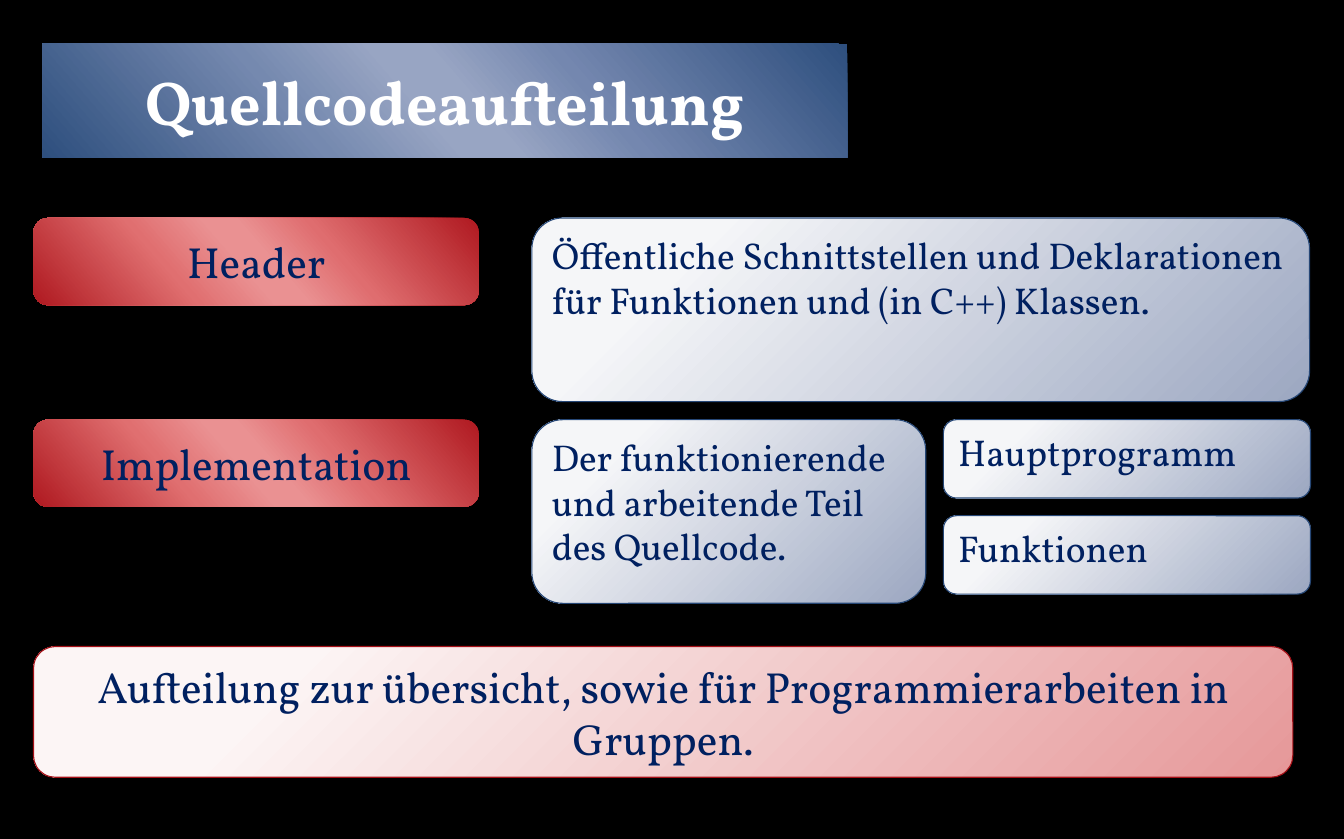
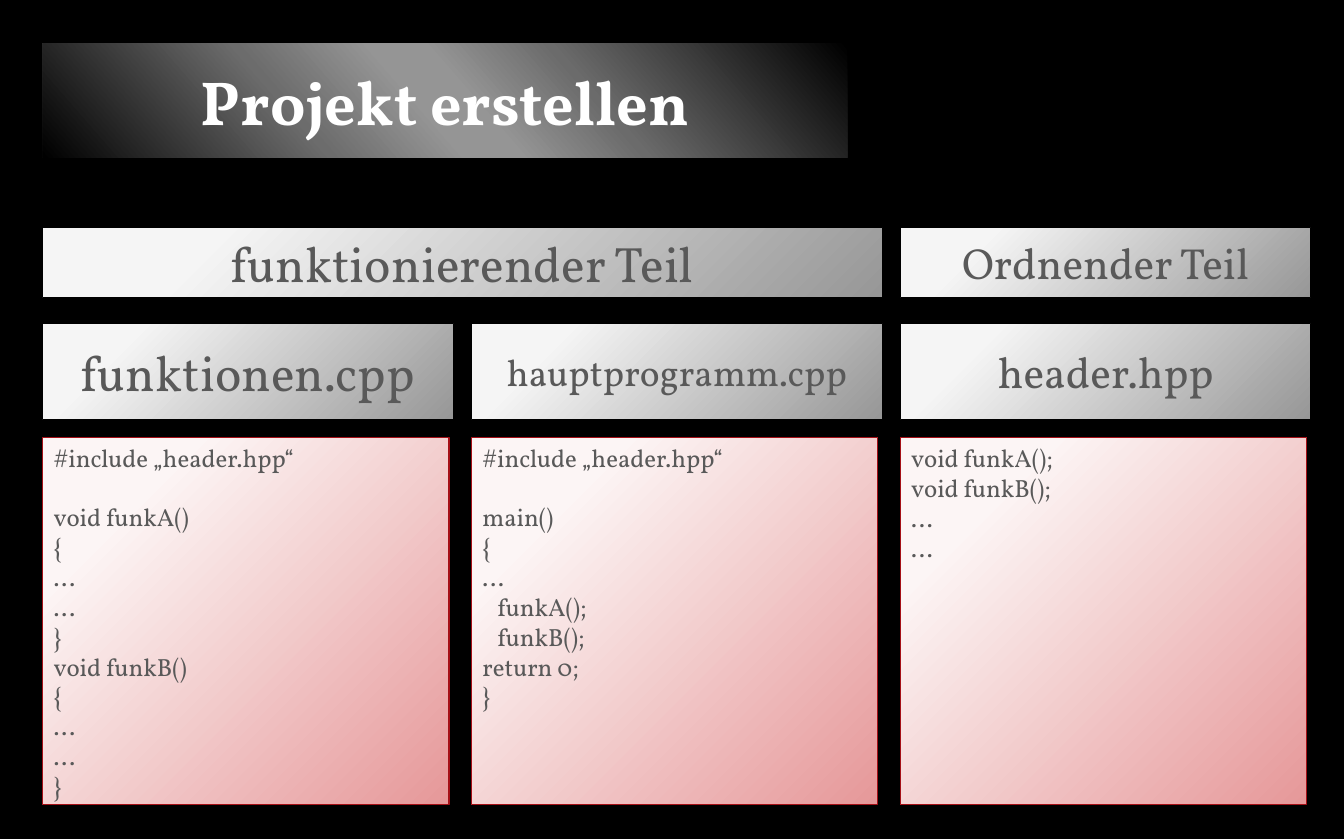
"""Builds two slides on splitting source code into headers and implementation files."""
from dataclasses import dataclass
from typing import Optional

from lxml import etree
from pptx import Presentation
from pptx.dml.color import RGBColor
from pptx.enum.shapes import MSO_SHAPE as Shape
from pptx.enum.text import MSO_ANCHOR as Anchor, MSO_AUTO_SIZE as AutoSize, PP_ALIGN as Align
from pptx.oxml import parse_xml
from pptx.oxml.ns import nsdecls, qn
from pptx.util import Cm, Pt

FONT = "Vollkorn"
BLACK, WHITE, NAVY, GREY = "000000", "FFFFFF", "002060", "595959"
LINE_GAP = Pt(19)
CODE_INDENT = Cm(0.34)


@dataclass(frozen=True)
class Finish:
    """Gradient stops, direction and outline of a box."""
    stops: tuple[tuple[int, str], ...]
    angle: Optional[int] = None
    outline: Optional[str] = None


def sheen(edge: str, left: str, middle: str, right: str) -> Finish:
    """Return a slanted gradient that is brightest in the middle."""
    return Finish(((0, edge), (33, left), (47, middle), (53, middle), (68, right), (100, edge)), 139)


def glow(light: str, dark: str, outline: str) -> Finish:
    """Return an outlined gradient that spreads from the top left corner."""
    return Finish(((20, light), (100, dark)), outline=outline)


BLUE_SHEEN = sheen("2E4F7E", "7487AF", "98A5C3", "7589AF")
RED_SHEEN = sheen("AF1920", "DF6D6F", "EA9192", "E06F70")
GREY_SHEEN = sheen(BLACK, "6B6B6B", "959595", "6C6C6C")
BLUE_GLOW = glow("F5F6F8", "9CA7C1", "264776")
RED_GLOW = glow("FCF5F5", "E69899", "A51017")
GREY_GLOW = glow("F5F5F5", "979797", BLACK)


@dataclass(frozen=True)
class Box:
    """A filled text box with lengths in centimetres."""
    text: str
    left: float
    top: float
    width: float
    height: float
    finish: Finish
    size: int
    color: str = NAVY
    centred: bool = True
    rounded: bool = True
    bold: bool = False


def rgb(value: str) -> RGBColor:
    """Turn a hex string into a colour."""
    return RGBColor.from_string(value)


def gradient(finish: Finish) -> etree._Element:
    """Return the gradient fill element of a finish."""
    stops = "".join(f'<a:gs pos="{place * 1000}"><a:srgbClr val="{color}"/></a:gs>'
                    for place, color in finish.stops)
    if finish.angle is None:
        course = ('<a:path path="circle"><a:fillToRect l="-15000" t="-15000" '
                  'r="115000" b="115000"/></a:path>')
    else:
        course = f'<a:lin ang="{finish.angle * 60000}" scaled="0"/>'
    return parse_xml(f'<a:gradFill {nsdecls("a")}><a:gsLst>{stops}</a:gsLst>{course}</a:gradFill>')


def paint(shape, finish: Finish) -> None:
    """Apply the gradient and outline to a shape."""
    shape.shadow.inherit = False
    shape.fill.background()
    properties = shape._element.spPr
    properties.replace(properties.find(qn("a:noFill")), gradient(finish))
    if finish.outline:
        shape.line.color.rgb = rgb(finish.outline)
        shape.line.width = Pt(0.75)
    else:
        shape.line.fill.background()


def write(shape, box: Box) -> None:
    """Write the lines of a box, turning empty lines and leading blanks into spacing."""
    frame = shape.text_frame
    frame.word_wrap = True
    frame.auto_size = AutoSize.NONE
    frame.vertical_anchor = Anchor.MIDDLE if box.centred else Anchor.TOP
    lines = box.text.split("\n")
    frame.text = "\n".join(line.strip() for line in lines if line)
    filled = [number for number, line in enumerate(lines) if line]
    for number, para in zip(filled, frame.paragraphs):
        para.alignment = Align.CENTER if box.centred else Align.LEFT
        para.font.name = FONT
        para.font.size = Pt(box.size)
        para.font.bold = box.bold
        para.font.color.rgb = rgb(box.color)
        if number and not lines[number - 1]:
            para.space_before = LINE_GAP
        if lines[number].startswith(" "):
            para._p.get_or_add_pPr().set("marL", str(int(CODE_INDENT)))


def draw(page, box: Box) -> None:
    """Add a box to a page."""
    kind = Shape.ROUNDED_RECTANGLE if box.rounded else Shape.RECTANGLE
    shape = page.shapes.add_shape(kind, Cm(box.left), Cm(box.top), Cm(box.width), Cm(box.height))
    paint(shape, box.finish)
    write(shape, box)


def add_page(deck, heading: str, finish: Finish, boxes: list[Box]) -> None:
    """Add a page with its title band and boxes."""
    page = deck.slides.add_slide(deck.slide_layouts[5])
    band = Box(heading, 0.97, 0.99, 18.26, 2.59, finish, 40, WHITE, bold=True)
    title = page.shapes.title
    title.left, title.top = Cm(band.left), Cm(band.top)
    title.width, title.height = Cm(band.width), Cm(band.height)
    title._element.spPr.insert(1, parse_xml(
        f'<a:prstGeom {nsdecls("a")} prst="roundRect"><a:avLst/></a:prstGeom>'))
    paint(title, finish)
    write(title, band)
    for box in boxes:
        draw(page, box)


def source_split() -> list[Box]:
    """Return the boxes that explain header and implementation."""
    header_top, body_top = 4.95, 9.53
    labels = [Box(text, 0.76, top, 10.11, 1.98, RED_SHEEN, 28)
              for text, top in (("Header", header_top), ("Implementation", body_top))]
    panels = [
        Box(text, left, top, width, height, BLUE_GLOW, 24, centred=False)
        for text, left, top, width, height in (
            ("Öffentliche Schnittstellen und Deklarationen für Funktionen und (in C++) Klassen.",
             12.07, header_top, 17.65, 4.17),
            ("Der funktionierende und arbeitende Teil des Quellcode.", 12.07, body_top, 8.94, 4.17),
            ("Hauptprogramm", 21.41, body_top, 8.33, 1.78),
            ("Funktionen", 21.41, 11.71, 8.33, 1.78))]
    summary = Box("Aufteilung zur übersicht, sowie für Programmierarbeiten in Gruppen.",
                  0.76, 14.68, 28.58, 2.97, RED_GLOW, 28)
    return [*labels, *panels, summary]


FILES = (
    ("funktionen.cpp", 32,
     "#include „header.hpp“\n\nvoid funkA()\n{\n...\n...\n}\nvoid funkB()\n{\n...\n...\n}"),
    ("hauptprogramm.cpp", 24,
     "#include „header.hpp“\n\nmain()\n{\n...\n funkA();\n funkB();\nreturn 0;\n}"),
    ("header.hpp", 28, "void funkA();\nvoid funkB();\n...\n..."),
)


def project_files() -> list[Box]:
    """Return the part headings and one column per file."""
    first, pitch, width = 0.97, 9.73, 9.32
    boxes = [
        Box("funktionierender Teil", first, 5.16, pitch + width, 1.6, GREY_GLOW, 32, GREY,
            rounded=False),
        Box("Ordnender Teil", first + 2 * pitch, 5.16, width, 1.6, GREY_GLOW, 28, GREY,
            rounded=False)]
    for column, (name, size, code) in enumerate(FILES):
        left = first + column * pitch
        boxes += [
            Box(name, left, 7.34, width, 2.18, GREY_GLOW, size, GREY, rounded=False),
            Box(code, left, 9.93, 9.22, 8.33, RED_GLOW, 16, GREY, centred=False, rounded=False)]
    return boxes


def main() -> None:
    """Build and save the deck."""
    deck = Presentation()
    deck.slide_width, deck.slide_height = Cm(30.5), Cm(19.05)
    backdrop = deck.slide_master.background.fill
    backdrop.solid()
    backdrop.fore_color.rgb = rgb(BLACK)
    add_page(deck, "Quellcodeaufteilung", BLUE_SHEEN, source_split())
    add_page(deck, "Projekt erstellen", GREY_SHEEN, project_files())
    deck.save("out.pptx")


main()
